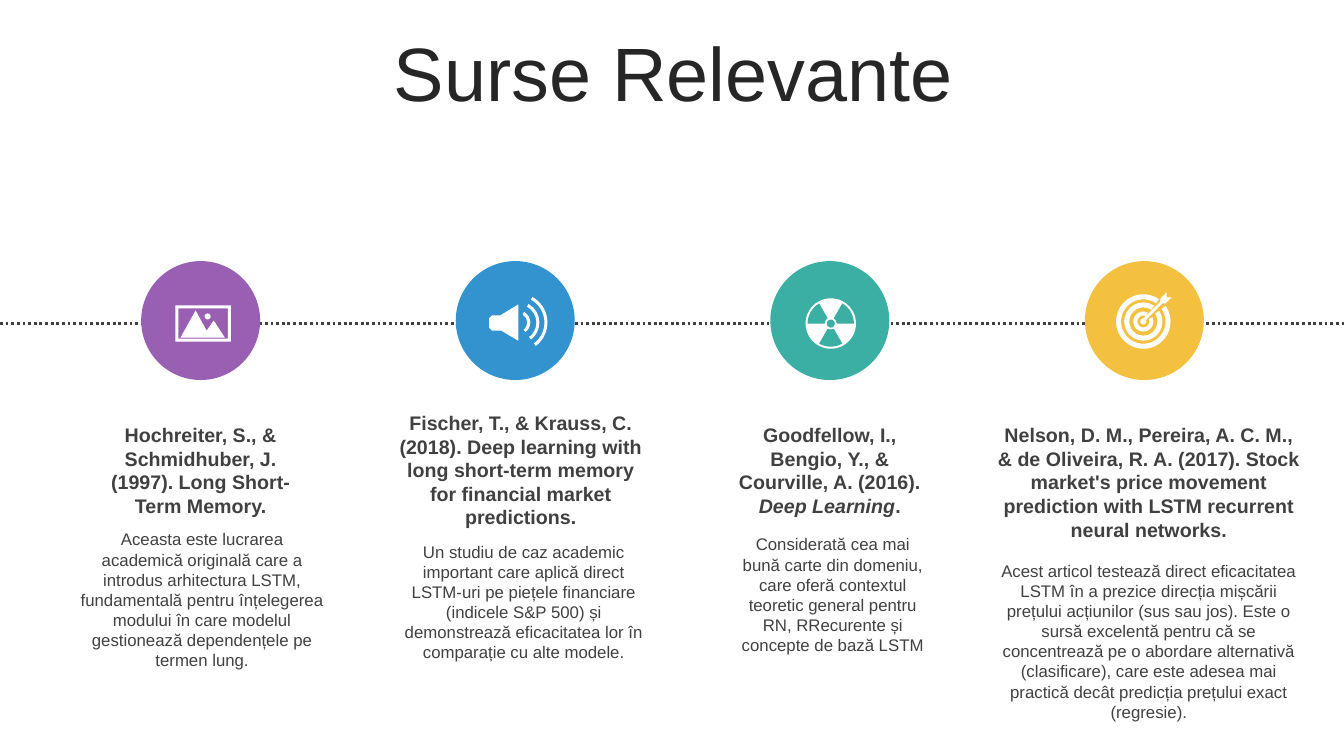
from lxml import etree
from pptx import Presentation
from pptx.dml.color import RGBColor
from pptx.enum.dml import MSO_LINE
from pptx.enum.shapes import MSO_CONNECTOR, MSO_SHAPE
from pptx.enum.text import MSO_ANCHOR, MSO_AUTO_SIZE, PP_ALIGN
from pptx.oxml.ns import qn
from pptx.util import Inches, Pt

CENTER, MIDDLE = PP_ALIGN.CENTER, MSO_ANCHOR.MIDDLE
GROW, DOTTED = MSO_AUTO_SIZE.SHAPE_TO_FIT_TEXT, MSO_LINE.ROUND_DOT
OVAL, FRAME, BLOCK_ARC = MSO_SHAPE.OVAL, MSO_SHAPE.FRAME, MSO_SHAPE.BLOCK_ARC
STRAIGHT = MSO_CONNECTOR.STRAIGHT
FONT, DARK, TITLE_COLOR, WHITE = "Arial", "404040", "262626", "FFFFFF"
TITLE = "Surse Relevante"

SOURCES = [
    {"color": "995FB2",
     "head": [("Hochreiter, S., & Schmidhuber, J. (1997). Long Short-Term Memory.", False)],
     "head_box": (0.98, 4.15, 2.02, 1.04),
     "body": "Aceasta este lucrarea academică originală care a introdus arhitectura LSTM, "
             "fundamentală pentru înțelegerea modului în care modelul gestionează "
             "dependențele pe termen lung.",
     "body_box": (0.69, 5.2, 2.63, 1.51)},
    {"color": "3293CF",
     "head": [("Fischer, T., & Krauss, C. (2018). Deep learning with long short-term memory "
               "for financial market predictions.", False)],
     "head_box": (3.79, 4.03, 2.75, 1.28),
     "body": "Un studiu de caz academic important care aplică direct LSTM-uri pe piețele "
             "financiare (indicele S&P 500) și demonstrează eficacitatea lor în comparație "
             "cu alte modele.",
     "body_box": (3.84, 5.32, 2.71, 1.31)},
    {"color": "3CAFA4",
     "head": [("Goodfellow, I., Bengio, Y., & Courville, A. (2016). ", False),
              ("Deep Learning", True), (".", False)],
     "head_box": (7.22, 4.15, 2.02, 1.04),
     "body": "Considerată cea mai bună carte din domeniu, care oferă contextul teoretic "
             "general pentru RN, RRecurente și concepte de bază LSTM",
     "body_box": (7.25, 5.25, 2.02, 1.31)},
    {"color": "F3C040",
     "head": [("Nelson, D. M., Pereira, A. C. M., & de Oliveira, R. A. (2017). Stock market's "
               "price movement prediction with LSTM recurrent neural networks.", False)],
     "head_box": (9.78, 4.15, 3.23, 1.28),
     "body": "Acest articol testează direct eficacitatea LSTM în a prezice direcția mișcării "
             "prețului acțiunilor (sus sau jos). Este o sursă excelentă pentru că se "
             "concentrează pe o abordare alternativă (clasificare), care este adesea mai "
             "practică decât predicția prețului exact (regresie).",
     "body_box": (9.78, 5.51, 3.23, 1.72)},
]

MOUNTAINS = [(1.79, 3.35), (1.94, 3.08), (2.05, 3.28), (2.12, 3.18), (2.23, 3.35)]
HORN = [(5.14, 3.02), (5.14, 3.38), (4.97, 3.28), (4.88, 3.28), (4.85, 3.25),
        (4.85, 3.16), (4.88, 3.13), (4.96, 3.13)]
DART = [(11.33, 3.17), (11.51, 2.99), (11.51, 2.96), (11.57, 2.9), (11.57, 2.95),
        (11.62, 2.95), (11.56, 3.01), (11.53, 3.01), (11.35, 3.19)]


def rgb(value):
    return RGBColor.from_string(value)


def paint(sp, color):
    sp.shadow.inherit = False
    sp.fill.solid()
    sp.fill.fore_color.rgb = rgb(color)
    sp.line.fill.background()


def add_preset(shapes, kind, place, color):
    sp = shapes.add_shape(kind, *map(Inches, place))
    paint(sp, color)
    return sp


def add_round(shapes, kind, center, radius, color):
    place = (center[0] - radius, center[1] - radius, 2 * radius, 2 * radius)
    return add_preset(shapes, kind, place, color)


def add_band(shapes, center, outer, inner, start, end, color):
    sp = add_round(shapes, BLOCK_ARC, center, outer, color)
    sp.adjustments[0] = start % 360 * 0.6
    sp.adjustments[1] = end % 360 * 0.6
    sp.adjustments[2] = (outer - inner) / (2 * outer)


def add_outline(shapes, points):
    corners = [(Inches(x), Inches(y)) for x, y in points]
    builder = shapes.build_freeform(*corners[0])
    builder.add_line_segments(corners[1:], close=True)
    paint(builder.convert_to_shape(), WHITE)


def picture_icon(shapes, color):
    frame = add_preset(shapes, FRAME, (1.74, 3.03, 0.55, 0.36), WHITE)
    frame.adjustments[0] = 0.08
    add_outline(shapes, MOUNTAINS)
    add_round(shapes, OVAL, (2.06, 3.14), 0.03, WHITE)


def speaker_icon(shapes, color):
    add_outline(shapes, HORN)
    for radius in (0.12, 0.21, 0.29):
        add_band(shapes, (5.14, 3.2), radius, radius - 0.03, -61, 53, WHITE)


def radiation_icon(shapes, color):
    center = (8.24, 3.21)
    add_round(shapes, OVAL, center, 0.25, WHITE)
    for start in (60, 180, 300):
        add_band(shapes, center, 0.23, 0.06, start, start + 60, color)
    add_round(shapes, OVAL, center, 0.04, color)


def target_icon(shapes, color):
    center = (11.34, 3.19)
    for outer, inner, gap in ((0.27, 0.22, 10), (0.19, 0.14, 11), (0.1, 0.06, 20)):
        add_band(shapes, center, outer, inner, gap - 45, 315 - gap, WHITE)
    add_round(shapes, OVAL, center, 0.03, WHITE)
    add_outline(shapes, DART)


ICONS = [picture_icon, speaker_icon, radiation_icon, target_icon]


def add_text(shapes, place, runs, size, color, bold=False):
    tf = shapes.add_textbox(*map(Inches, place)).text_frame
    tf.word_wrap = True
    p = tf.paragraphs[0]
    p.alignment = CENTER
    for text, italic in runs:
        r = p.add_run()
        r.text = text
        r.font.name, r.font.size = FONT, Pt(size)
        r.font.bold, r.font.italic = bold, italic
        r.font.color.rgb = rgb(color)
    return tf


def main():
    prs = Presentation()
    prs.slide_width, prs.slide_height = Inches(13.33), Inches(7.5)
    s = prs.slides.add_slide(prs.slide_layouts[6])

    tf = add_text(s.shapes, (0.35, 0.37, 12.66, 0.79), [(TITLE, False)], 54, TITLE_COLOR)
    tf.vertical_anchor = MIDDLE
    tf.paragraphs[0].line_spacing = 0.9

    timeline = s.shapes.add_connector(STRAIGHT, 0, Inches(3.21), prs.slide_width, Inches(3.21))
    timeline.line.color.rgb = rgb(DARK)
    timeline.line.width = Pt(2)
    timeline.line.dash_style = DOTTED
    etree.SubElement(timeline.element.spPr, qn("a:effectLst"))

    for i, (source, add_icon) in enumerate(zip(SOURCES, ICONS)):
        color = source["color"]
        add_preset(s.shapes, OVAL, (1.4 + 3.12 * i, 2.59, 1.18, 1.18), color)
        add_icon(s.shapes, color)
        body = [(source["body"], False)]
        add_text(s.shapes, source["body_box"], body, 12, DARK).auto_size = GROW
        add_text(s.shapes, source["head_box"], source["head"], 14, DARK, True).auto_size = GROW

    prs.save("out.pptx")


if __name__ == "__main__":
    main()
